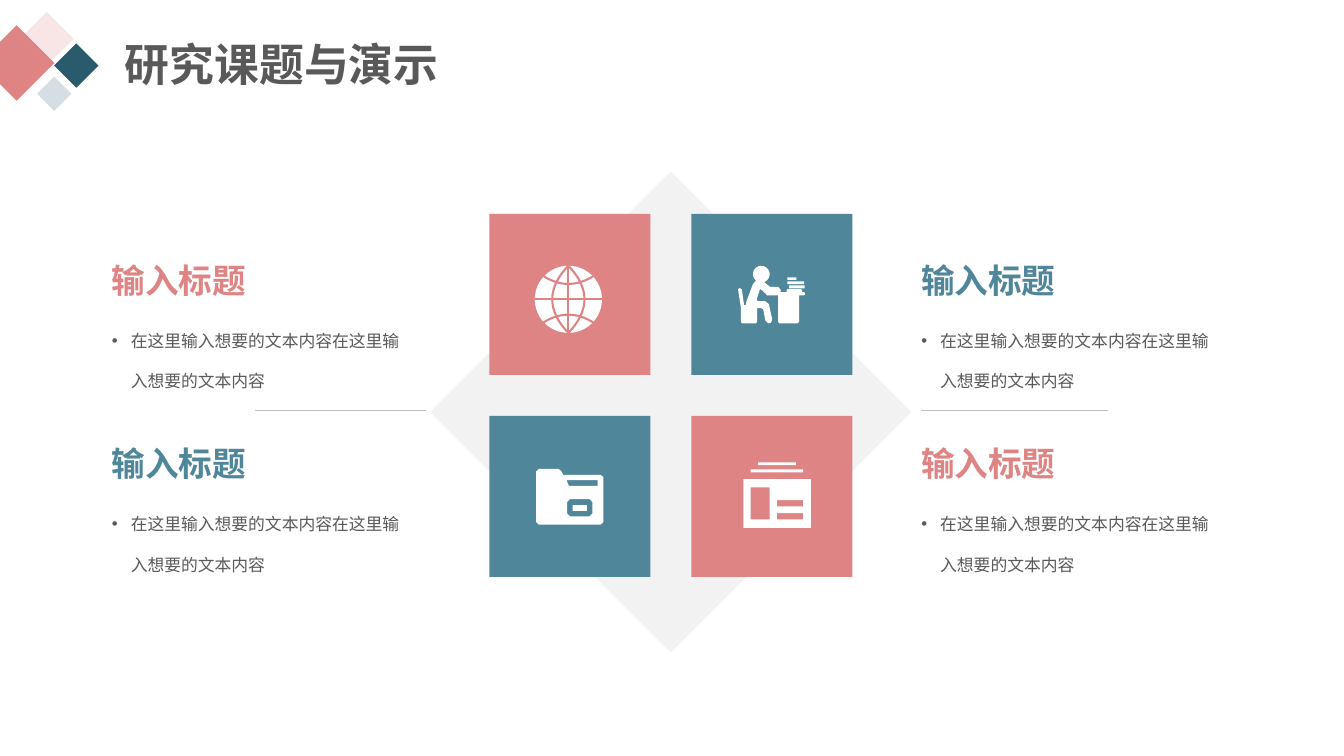
from math import cos, radians, sin

from lxml import etree
from pptx import Presentation
from pptx import util as u
from pptx.dml.color import RGBColor
from pptx.enum import shapes, text
from pptx.oxml import ns

Pt = u.Pt
CORAL = RGBColor(0xDE, 0x84, 0x84)
TEAL = RGBColor(0x4F, 0x86, 0x9A)
DARK_TEAL = RGBColor(0x29, 0x5B, 0x6D)
PALE_PINK = RGBColor(0xF8, 0xE6, 0xE6)
PALE_BLUE = RGBColor(0xD5, 0xDE, 0xE2)
PALE_GREY = RGBColor(0xF2, 0xF2, 0xF2)
LINE_GREY = RGBColor(0xBF, 0xBF, 0xBF)
TEXT_GREY = RGBColor(0x59, 0x59, 0x59)
WHITE = RGBColor(0xFF, 0xFF, 0xFF)
FONT = "Noto Sans CJK SC"


def write(shape, words, size, colour, bold=False, anchor=text.MSO_ANCHOR.TOP,
          spacing=1.0, bullet=False):
    frame = shape.text_frame
    frame.text = words
    frame.word_wrap = True
    frame.auto_size = text.MSO_AUTO_SIZE.NONE
    frame.vertical_anchor = anchor
    paragraph = frame.paragraphs[0]
    paragraph.alignment = text.PP_ALIGN.LEFT
    paragraph.line_spacing = spacing
    paragraph.space_before = Pt(0)
    if bullet:
        properties = paragraph._p.get_or_add_pPr()
        properties.set("marL", str(Pt(13.5)))
        properties.set("indent", str(Pt(-13.5)))
        etree.SubElement(properties, ns.qn("a:buFont")).set("typeface", "Arial")
        etree.SubElement(properties, ns.qn("a:buChar")).set("char", "•")
    font = paragraph.runs[0].font
    font.size, font.bold, font.name = Pt(size), bold, FONT
    font.color.rgb = colour
    east_asian = etree.SubElement(font._element, ns.qn("a:ea"))
    east_asian.set("typeface", FONT)


def draw_outline(left, top, contours, closed=True):
    """Contours are point lists, or (left, top, right, bottom) boxes."""
    builder = None
    for contour in contours:
        if isinstance(contour, tuple):
            x0, y0, x1, y1 = contour
            contour = [(x0, y0), (x1, y0), (x1, y1), (x0, y1)]
        points = [(round(x * 100), round(y * 100)) for x, y in contour]
        if builder is None:
            builder = slide.shapes.build_freeform(*points[0], scale=Pt(1) / 100)
        else:
            builder.move_to(*points[0])
        builder.add_line_segments(points[1:], close=closed)
    shape = builder.convert_to_shape(Pt(left), Pt(top))
    shape.shadow.inherit = False
    if closed:
        shape.fill.solid()
        shape.fill.fore_color.rgb = WHITE
        shape.line.fill.background()
    else:
        shape.fill.background()
        shape.line.color.rgb = CORAL
        shape.line.width = Pt(1.5)


presentation = Presentation()
presentation.slide_width, presentation.slide_height = Pt(960), Pt(540)
slide = presentation.slides.add_slide(presentation.slide_layouts[4])

# Title
title = slide.shapes.title
title.left, title.top, title.width, title.height = Pt(82), Pt(22.3), Pt(319), Pt(46)
write(title, "研究课题与演示", 32, TEXT_GREY, bold=True)

# Corner diamonds, large backing diamond and four panels
DIAMOND, BOX, OVAL = (shapes.MSO_SHAPE.DIAMOND, shapes.MSO_SHAPE.RECTANGLE,
                      shapes.MSO_SHAPE.OVAL)
PANEL_LEFT, PANEL_TOP, PANEL_SIZE, PANEL_STEP = 349.6, 152.8, 115, 144.2
PANEL_COLOURS = [[CORAL, TEAL], [TEAL, CORAL]]
corner = slide.shapes.add_group_shape().shapes
figures = [
    (corner, DIAMOND, 38.7, 31, 31.7, DARK_TEAL),
    (corner, DIAMOND, 14.4, 8.6, 38.2, PALE_PINK),
    (corner, DIAMOND, -15.1, 18, 54, CORAL),
    (corner, DIAMOND, 26.5, 54.7, 24.5, PALE_BLUE),
    (slide.shapes, DIAMOND, 307.4, 122.6, 343.4, PALE_GREY),
]
figures += [(slide.shapes, BOX, PANEL_LEFT + column * PANEL_STEP,
             PANEL_TOP + row * PANEL_STEP, PANEL_SIZE, PANEL_COLOURS[row][column])
            for row in range(2) for column in range(2)]
GLOBE_LEFT, GLOBE_TOP, GLOBE_SIZE = 382, 189.8, 48
figures.append((slide.shapes, OVAL, GLOBE_LEFT, GLOBE_TOP, GLOBE_SIZE, WHITE))
for container, kind, left, top, size, colour in figures:
    shape = container.add_shape(kind, Pt(left), Pt(top), Pt(size), Pt(size))
    shape.shadow.inherit = False
    shape.fill.solid()
    shape.fill.fore_color.rgb = colour
    shape.line.fill.background()

# Headings and lists beside the panels
bodies = [holder for holder in slide.placeholders if holder.placeholder_format.idx in range(1, 5)]
for index, body in enumerate(bodies):
    row, column = divmod(index, 2)
    left, top = 72.7 + column * 578.2, 182.2 + row * 131
    heading = slide.shapes.add_textbox(Pt(left), Pt(top), Pt(229), Pt(35.3))
    write(heading, "输入标题", 24, PANEL_COLOURS[row][column], bold=True,
          anchor=text.MSO_ANCHOR.MIDDLE)
    body.left, body.top, body.width, body.height = Pt(left), Pt(top + 36), Pt(229), Pt(76.3)
    write(body, "在这里输入想要的文本内容在这里输入想要的文本内容", 12, TEXT_GREY,
          spacing=2.0, bullet=True)

# Dividers between the rows, then the globe's straight lines
MIDDLE = GLOBE_SIZE / 2
dividers = [(182, 293, 304, 293, LINE_GREY, 0.25), (658, 293, 791.5, 293, LINE_GREY, 0.25)]
globe_lines = [
    (GLOBE_LEFT, GLOBE_TOP + MIDDLE, GLOBE_LEFT + GLOBE_SIZE, GLOBE_TOP + MIDDLE, CORAL, 1.5),
    (GLOBE_LEFT + MIDDLE, GLOBE_TOP, GLOBE_LEFT + MIDDLE, GLOBE_TOP + GLOBE_SIZE, CORAL, 1.5),
]
for x0, y0, x1, y1, colour, width in dividers + globe_lines:
    line = slide.shapes.add_connector(shapes.MSO_CONNECTOR.STRAIGHT, Pt(x0), Pt(y0), Pt(x1), Pt(y1))
    line.line.color.rgb = colour
    line.line.width = Pt(width)
    etree.SubElement(line._element.spPr, ns.qn("a:effectLst"))

# Globe meridians and parallels: parabolas from end to end
steps = [step / 10 for step in range(-10, 11)]
for side in (-1, 1):
    meridian = [(MIDDLE + side * 11.5 * (1 - t * t), MIDDLE * (1 + t)) for t in steps]
    parallel = [(MIDDLE + 17.7 * t, MIDDLE + side * (11 + 5.5 * t * t)) for t in steps]
    draw_outline(GLOBE_LEFT, GLOBE_TOP, [meridian, parallel], closed=False)

# Person at a desk with books
head = [(16.6 + 6 * cos(radians(angle)), 5.9 + 6 * sin(radians(angle)))
        for angle in range(130, 431, 20)]
arm_and_desk = [
    (23, 15), (28.8, 15), (30.6, 17.3), (30.2, 18.8), (35, 18.8), (34.6, 17.8), (35, 16.6),
    (45, 16.6), (46, 17.8), (45.5, 18.8), (47.2, 18.8), (48, 20), (47.2, 21), (43.6, 21),
    (43.6, 40), (42.5, 41), (29.5, 41), (28.6, 40), (28.6, 21), (20.5, 21), (20, 20)]
legs_and_chair = [
    (16.3, 16.6), (15.6, 16.8), (13.4, 23.6), (14, 25.2), (19.5, 25.2), (22, 27.2), (24.4, 38),
    (23.6, 40.5), (21.5, 41), (19.5, 39), (18, 31), (16.5, 30.2), (13.6, 30.2), (13.6, 40),
    (12.6, 41), (3, 41), (2.1, 40), (2.1, 30.2), (0, 16.8), (1, 15.8), (2.7, 16.6), (4.3, 28),
    (5.6, 28), (5.8, 26), (10.6, 13)]
books = [(36.5, 13.8, 47.5, 16), (35.3, 11, 47.3, 13), (35.3, 8.2, 41.7, 10)]
draw_outline(527.2, 190, [head + arm_and_desk + legs_and_chair] + books)

# Folder
folder = [(2, 0), (16, 0), (18, 1.4), (19.5, 4.3), (46.2, 4.3), (48.2, 6), (48.2, 38),
          (46.2, 39.8), (2, 39.8), (0, 38), (0, 2)]
slot = [(21.8, 8), (44, 8), (44, 12.2), (23.5, 12.2)]
label = [(24.3, 21.7), (38.3, 21.7), (40.3, 23.7), (40.3, 31.9), (38.3, 33.9), (24.3, 33.9),
         (22.3, 31.9), (22.3, 23.7)]
draw_outline(382.9, 334.9, [folder, slot, label, (26.2, 26, 36.4, 30)])

# Newspaper
draw_outline(531, 330.3, [
    (10.5, 0, 37.5, 2), (5.2, 5, 42.7, 7.2), (0, 12, 48.2, 46.7),
    (5.2, 17.8, 18.8, 40.8), (24, 27, 42.7, 31.5), (24, 36.2, 42.7, 40.8)])

# Unused footer placeholders
for holder in list(slide.placeholders):
    if holder.placeholder_format.idx >= 10:
        holder._element.getparent().remove(holder._element)

presentation.save("out.pptx")
